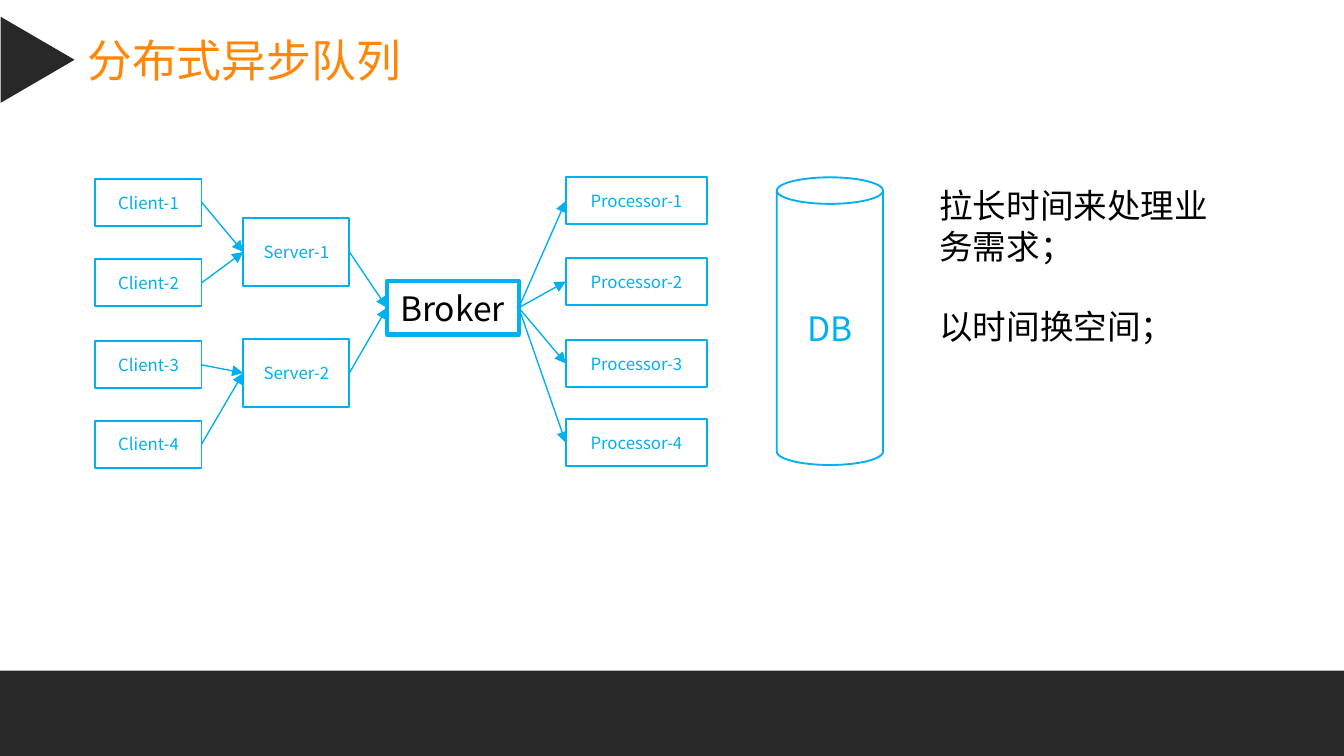
"""Build a slide that shows a distributed asynchronous queue."""
from lxml import etree
from pptx import Presentation
from pptx.dml.color import RGBColor
from pptx.enum.dml import MSO_LINE
from pptx.enum.shapes import MSO_CONNECTOR, MSO_SHAPE
from pptx.enum.text import MSO_ANCHOR, MSO_AUTO_SIZE, PP_ALIGN
from pptx.oxml.ns import qn
from pptx.util import Inches, Pt

RECTANGLE, TRIANGLE, CAN = MSO_SHAPE.RECTANGLE, MSO_SHAPE.ISOSCELES_TRIANGLE, MSO_SHAPE.CAN
STRAIGHT, SOLID = MSO_CONNECTOR.STRAIGHT, MSO_LINE.SOLID
LEFT, CENTER = PP_ALIGN.LEFT, PP_ALIGN.CENTER
TOP, MIDDLE = MSO_ANCHOR.TOP, MSO_ANCHOR.MIDDLE
NO_AUTOFIT = MSO_AUTO_SIZE.NONE

WHITE = RGBColor(0xFF, 0xFF, 0xFF)
BLACK = RGBColor(0x00, 0x00, 0x00)
DARK = RGBColor(0x28, 0x28, 0x28)
ORANGE = RGBColor(0xFF, 0x86, 0x07)
BLUE = RGBColor(0x00, 0xB0, 0xF0)

TITLE_FONT = "Arial Narrow"
BODY_FONT = "Noto Sans CJK SC"
ROW_TOPS = (1.33, 1.93, 2.54, 3.13)
SERVER_TOPS = (1.62, 2.52)
LEFT_SIDE, RIGHT_SIDE = 1, 3


def write_text(shape, *lines, size=9, color=BLUE, font=BODY_FONT, align=CENTER,
               anchor=MIDDLE, wrap=True, line_spacing=None, gap=None):
    """Write one paragraph per line of text in the given format."""
    frame = shape.text_frame
    frame.auto_size = NO_AUTOFIT
    frame.word_wrap = wrap
    frame.vertical_anchor = anchor
    for index, line in enumerate(lines):
        paragraph = frame.paragraphs[0] if index == 0 else frame.add_paragraph()
        paragraph.alignment = align
        paragraph.line_spacing = line_spacing
        if index:
            paragraph.space_before = gap
        run = paragraph.add_run()
        run.text = line
        run.font.size = Pt(size)
        run.font.name = font
        run.font.color.rgb = color
        east_asian = etree.SubElement(run.font._element, qn("a:ea"))
        east_asian.set("typeface", BODY_FONT)


def add_shape(slide, kind, left, top, width, height, fill=None, line=None, line_width=1):
    """Add a preset shape without shadow."""
    shape = slide.shapes.add_shape(
        kind, Inches(left), Inches(top), Inches(width), Inches(height))
    shape.shadow.inherit = False
    if fill is None:
        shape.fill.background()
    else:
        shape.fill.solid()
        shape.fill.fore_color.rgb = fill
    if line is None:
        shape.line.fill.background()
    else:
        shape.line.color.rgb = line
        shape.line.width = Pt(line_width)
    return shape


def add_nodes(slide, name, left, tops, width, height):
    """Add a column of numbered boxes and return them."""
    nodes = []
    for number, top in enumerate(tops, 1):
        node = add_shape(slide, RECTANGLE, left, top, width, height, WHITE, BLUE)
        write_text(node, f"{name}-{number}")
        nodes.append(node)
    return nodes


def add_arrow(slide, source, target):
    """Join the right side of one box to the left side of another."""
    arrow = slide.shapes.add_connector(STRAIGHT, 0, 0, 0, 0)
    arrow.begin_connect(source, RIGHT_SIDE)
    arrow.end_connect(target, LEFT_SIDE)
    arrow.line.color.rgb = BLUE
    arrow.line.width = Pt(0.75)
    arrow.line.dash_style = SOLID
    etree.SubElement(arrow.line._ln, qn("a:tailEnd")).set("type", "triangle")
    etree.SubElement(arrow._element.spPr, qn("a:effectLst"))


def add_title(slide, text):
    """Place and format the title beside its marker."""
    title = slide.shapes.title
    title.left, title.top = Inches(0.55), Inches(0.19)
    title.width, title.height = Inches(2.56), Inches(0.5)
    write_text(title, text, size=24, color=ORANGE, font=TITLE_FONT, align=LEFT, wrap=False)
    marker = add_shape(slide, TRIANGLE, -0.04, 0.17, 0.64, 0.55, DARK)
    marker.rotation = 90


def add_queue(slide):
    """Add clients, servers, broker and processors with their arrows."""
    clients = add_nodes(slide, "Client", 0.71, ROW_TOPS, 0.79, 0.35)
    servers = add_nodes(slide, "Server", 1.81, SERVER_TOPS, 0.79, 0.51)
    broker = add_shape(slide, RECTANGLE, 2.88, 2.09, 0.98, 0.4, line=BLUE, line_width=2.25)
    write_text(broker, "Broker", size=18, color=BLACK, align=LEFT)
    processor_tops = [top - 0.01 for top in ROW_TOPS]
    processors = add_nodes(slide, "Processor", 4.21, processor_tops, 1.05, 0.35)

    for index, client in enumerate(clients):
        add_arrow(slide, client, servers[index // 2])
    for server in servers:
        add_arrow(slide, server, broker)
    for processor in processors:
        add_arrow(slide, broker, processor)


def main():
    """Build the slide and save it."""
    presentation = Presentation()
    presentation.slide_width = Inches(10)
    presentation.slide_height = Inches(10) * 9 // 16
    slide = presentation.slides.add_slide(presentation.slide_layouts[5])

    add_shape(slide, RECTANGLE, 0, 4.99, 10, 0.64, DARK)
    add_title(slide, "分布式异步队列")
    add_queue(slide)
    database = add_shape(slide, CAN, 5.78, 1.32, 0.79, 2.14, line=BLUE)
    write_text(database, "DB", size=18)
    note = slide.shapes.add_textbox(Inches(6.89), Inches(1.33), Inches(2.2), Inches(1.31))
    write_text(note, "拉长时间来处理业务需求；", "以时间换空间；", size=18, color=BLACK,
               align=LEFT, anchor=TOP, line_spacing=Pt(21.6), gap=Pt(21.6))

    presentation.save("out.pptx")


if __name__ == "__main__":
    main()
